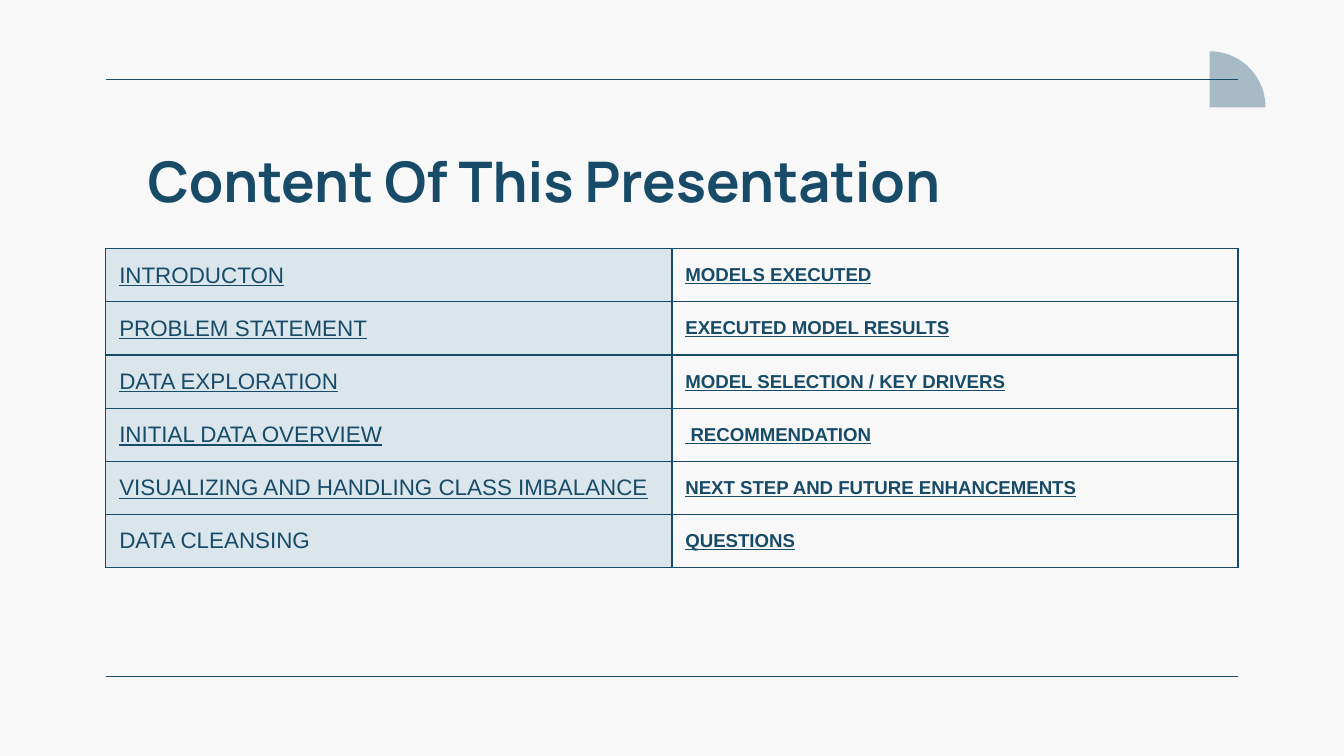
import math
from dataclasses import dataclass

import pptx
import pptx.dml.color
import pptx.enum.shapes
import pptx.enum.text
import pptx.oxml
import pptx.oxml.ns
import pptx.util

Pt = pptx.util.Pt


@dataclass(frozen=True)
class Theme:
    paper: str = "F8F8F8"
    ink: str = "174B67"
    accent: str = "A7BBC7"
    tint: str = "DAE6EC"
    heading_font: str = "Manrope"
    body_font: str = "Arial"
    title_size: float = 30
    left_size: float = 12
    right_size: float = 10
    rule: float = 0.75
    inset: float = 7.2


def color(code):
    return pptx.dml.color.RGBColor.from_string(code)


class Painter:
    def __init__(self, page, theme):
        self.page, self.theme = page, theme
        page.background.fill.solid()
        page.background.fill.fore_color.rgb = color(theme.paper)

    def span(self, para, text, font, size, bold=False, underline=False):
        span = para.add_run()
        span.text = text
        span.font.name, span.font.size = font, Pt(size)
        span.font.bold, span.font.underline = bold, underline
        span.font.color.rgb = color(self.theme.ink)

    def quarter_disc(self, left, bottom, radius, steps=48):
        angles = [math.pi / 2 * step / steps for step in range(steps + 1)]
        arc = [(Pt(left + radius * math.cos(angle)), Pt(bottom - radius * math.sin(angle)))
               for angle in angles]
        builder = self.page.shapes.build_freeform(Pt(left), Pt(bottom))
        builder.add_line_segments(arc, close=True)
        disc = builder.convert_to_shape()
        disc.shadow.inherit = False
        disc.fill.solid()
        disc.fill.fore_color.rgb = color(self.theme.accent)
        disc.line.fill.background()

    def rule(self, left, right, y):
        line = self.page.shapes.add_connector(
            pptx.enum.shapes.MSO_CONNECTOR.STRAIGHT, Pt(left), Pt(y), Pt(right), Pt(y))
        line.line.color.rgb = color(self.theme.ink)
        line.line.width = Pt(self.theme.rule)
        line._element.spPr.append(pptx.oxml.parse_xml(
            f"<a:effectLst {pptx.oxml.ns.nsdecls('a')}/>"))

    def title(self, text, left, top, width, height):
        box = self.page.shapes.add_textbox(Pt(left), Pt(top), Pt(width), Pt(height))
        frame = box.text_frame
        frame.word_wrap = True
        frame.vertical_anchor = pptx.enum.text.MSO_ANCHOR.TOP
        frame.margin_left = frame.margin_right = Pt(self.theme.inset)
        frame.margin_top = frame.margin_bottom = Pt(self.theme.inset)
        self.span(frame.paragraphs[0], text, self.theme.heading_font,
                  self.theme.title_size, bold=True)

    def border(self, cell):
        properties = cell._tc.get_or_add_tcPr()
        for position, side in enumerate(("lnL", "lnR", "lnT", "lnB")):
            properties.insert(position, pptx.oxml.parse_xml(
                f"<a:{side} {pptx.oxml.ns.nsdecls('a')} w=\"{Pt(self.theme.rule)}\">"
                f"<a:solidFill><a:srgbClr val=\"{self.theme.ink}\"/></a:solidFill></a:{side}>"))

    def agenda(self, rows, left, top, width, row_height):
        theme = self.theme
        table = self.page.shapes.add_table(
            len(rows), 2, Pt(left), Pt(top), Pt(width), Pt(row_height * len(rows))).table
        table.first_row = table.horz_banding = False
        for row, texts in zip(table.rows, rows):
            row.height = Pt(row_height)
            for column, (cell, text) in enumerate(zip(row.cells, texts)):
                cell.vertical_anchor = pptx.enum.text.MSO_ANCHOR.MIDDLE
                cell.margin_left = cell.margin_right = Pt(theme.inset)
                cell.margin_top = cell.margin_bottom = 0
                para = cell.text_frame.paragraphs[0]
                if column == 0:
                    cell.fill.solid()
                    cell.fill.fore_color.rgb = color(theme.tint)
                    self.span(para, text, theme.body_font, theme.left_size,
                              underline=text != "DATA CLEANSING")
                else:
                    cell.fill.background()
                    para.space_after = Pt(16)
                    self.span(para, text, theme.body_font, theme.right_size,
                              bold=True, underline=True)
                self.border(cell)


def main():
    deck = pptx.Presentation()
    deck.slide_width, deck.slide_height = Pt(720), Pt(405)
    painter = Painter(deck.slides.add_slide(deck.slide_layouts[6]), Theme())
    left, right = 56.7, 663.3

    # Frame: corner ornament and the two rules
    painter.quarter_disc(648, 57.5, 30)
    for y in (42.5, 362.5):
        painter.rule(left, right, y)

    # Heading
    painter.title("Content Of This Presentation", 72, 71.3, 607, 45.4)

    # Agenda table
    painter.agenda([
        ("INTRODUCTON", "MODELS EXECUTED"),
        ("PROBLEM STATEMENT", "EXECUTED MODEL RESULTS"),
        ("DATA EXPLORATION", "MODEL SELECTION / KEY DRIVERS"),
        ("INITIAL DATA OVERVIEW", " RECOMMENDATION"),
        ("VISUALIZING AND HANDLING CLASS IMBALANCE", "NEXT STEP AND FUTURE ENHANCEMENTS"),
        ("DATA CLEANSING", "QUESTIONS"),
    ], left, 133.2, right - left, 28.5)

    deck.save("out.pptx")


if __name__ == "__main__":
    main()
